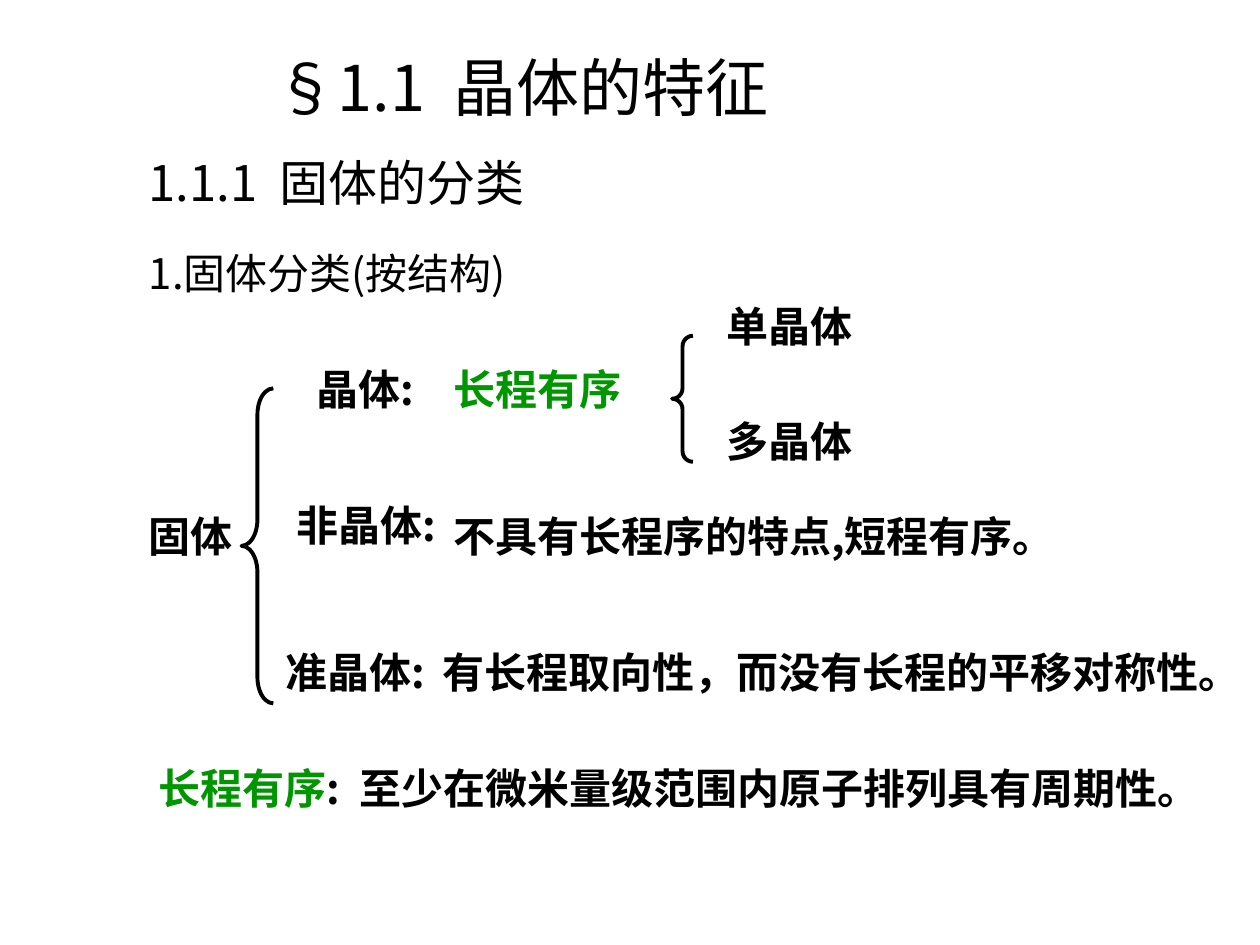
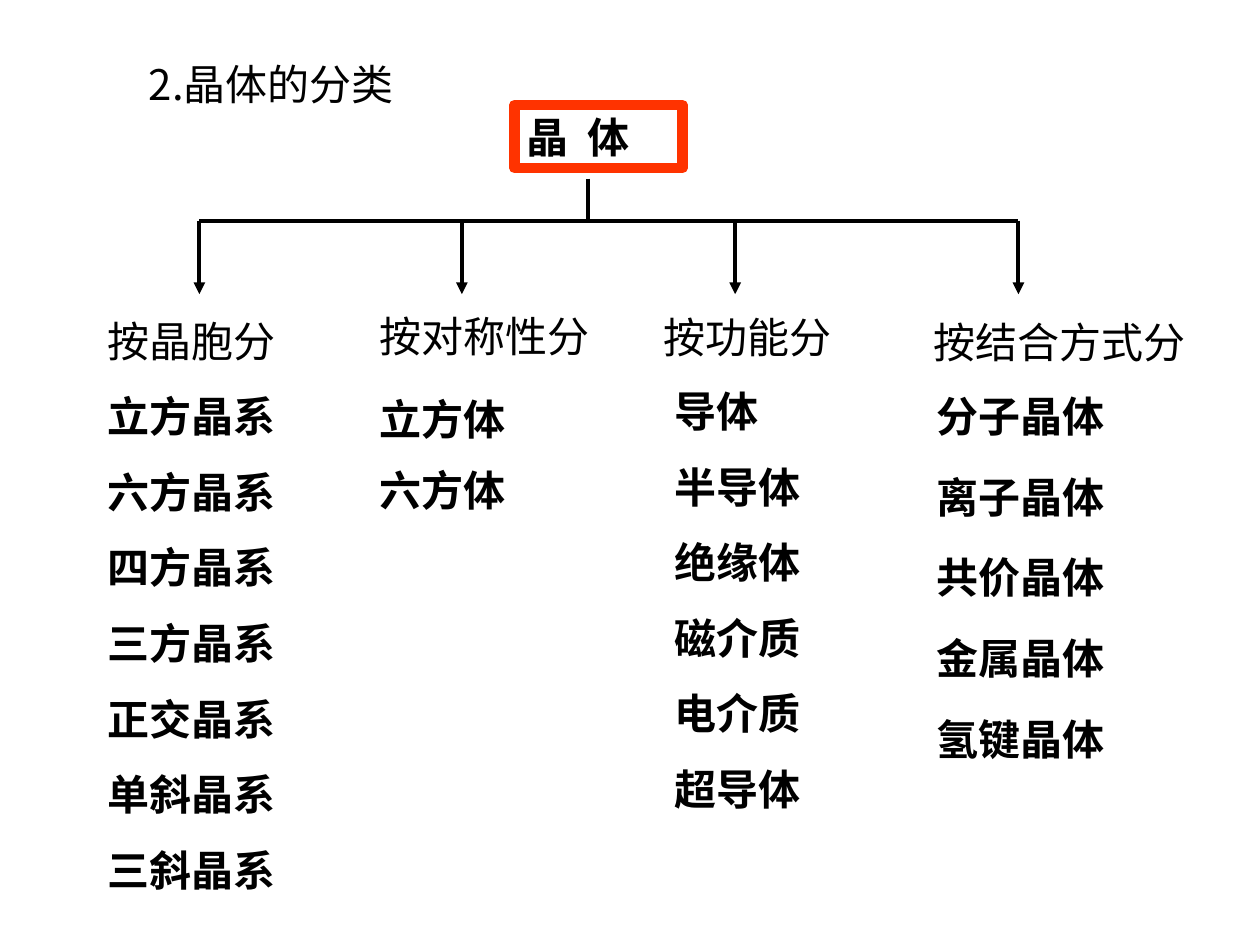
"""Build two slides on how solids and crystals are classified."""
from lxml import etree
from pptx import Presentation
from pptx import util as u
from pptx.dml.color import RGBColor
from pptx.enum import shapes, text
from pptx.oxml import ns

COLORS = {"ink": "000000", "green": "009600", "red": "FF3300"}
FONT = "Noto Sans CJK SC"


class Deck:
    """Holds the shared style and the slide being drawn."""

    def __init__(self):
        self.prs = Presentation()
        self.prs.slide_width, self.prs.slide_height = u.Cm(25.4), u.Cm(19.05)
        self.slide = None

    def new_slide(self):
        """Start a blank slide."""
        self.slide = self.prs.slides.add_slide(self.prs.slide_layouts[6])

    def style_run(self, run, size, color, bold):
        """Give a run the deck's font for Latin and Chinese characters."""
        run.font.name, run.font.size, run.font.bold = FONT, u.Pt(size), bold
        run.font.color.rgb = RGBColor.from_string(COLORS[color])
        latin = run.font._element.find(ns.qn("a:latin"))
        east_asian = etree.Element(ns.qn("a:ea"), typeface=FONT)
        latin.addnext(east_asian)

    def fill_text(self, shape, lines, size=24, color="ink", plain=0, spacing=None):
        """Fill a shape with lines, the first `plain` of them not bold."""
        frame = shape.text_frame
        frame.text = "\n".join(lines)
        frame.word_wrap = True
        frame.auto_size = text.MSO_AUTO_SIZE.SHAPE_TO_FIT_TEXT
        frame.vertical_anchor = text.MSO_ANCHOR.TOP
        for index, paragraph in enumerate(frame.paragraphs):
            paragraph.alignment = text.PP_ALIGN.LEFT
            paragraph.line_spacing = spacing
            for run in paragraph.runs:
                self.style_run(run, size, color, index >= plain)

    def label(self, lines, left, top, width, height=1.27, **style):
        """Add a text box."""
        box = self.slide.shapes.add_textbox(u.Cm(left), u.Cm(top), u.Cm(width), u.Cm(height))
        self.fill_text(box, lines, **style)
        return box

    def outline(self, kind, left, top, width, height, color, weight):
        """Add an unfilled preset shape."""
        shape = self.slide.shapes.add_shape(
            kind, u.Cm(left), u.Cm(top), u.Cm(width), u.Cm(height))
        shape.shadow.inherit = False
        shape.fill.background()
        shape.line.color.rgb = RGBColor.from_string(COLORS[color])
        shape.line.width = u.Pt(weight)
        return shape

    def brace(self, left, top, width, height):
        """Add a left brace whose curls take a twelfth of its height."""
        brace = self.outline(shapes.MSO_SHAPE.LEFT_BRACE, left, top, width, height, "ink", 2.25)
        brace.adjustments[0] = height / width / 12

    def line(self, x1, y1, x2, y2, arrow=False):
        """Add a straight line, with an arrowhead at its end if asked."""
        line = self.slide.shapes.add_connector(
            shapes.MSO_CONNECTOR.STRAIGHT, u.Cm(x1), u.Cm(y1), u.Cm(x2), u.Cm(y2))
        line.line.color.rgb = RGBColor.from_string(COLORS["ink"])
        line.line.width = u.Pt(2.25)
        if arrow:
            etree.SubElement(line.line._get_or_add_ln(), ns.qn("a:tailEnd"), type="triangle")
        etree.SubElement(line._element.spPr, ns.qn("a:effectLst"))


def solids_slide(deck):
    """Classify solids by structure."""
    deck.new_slide()
    deck.label(["§1.1  晶体的特征"], 5.29, 0.85, 13.76, 1.78, size=36, plain=1)
    deck.label(["1.1.1  固体的分类"], 2.75, 2.96, 12.28, 1.45, size=28, plain=1)
    deck.label(["1.固体分类(按结构)"], 2.75, 4.87, 12.07, plain=1)

    for words, left, top, width in (
        ("固体", 2.75, 10.16, 3.18),
        ("晶体:", 6.14, 7.2, 4.02),
        ("非晶体:", 5.72, 9.95, 5.29),
        ("准晶体:", 5.5, 12.91, 5.29),
        ("不具有长程序的特点,短程有序。", 8.89, 10.16, 13.55),
        ("有长程取向性，而没有长程的平移对称性。", 8.68, 12.91, 16.72),
        ("单晶体", 14.39, 5.93, 3.81),
        ("多晶体", 14.39, 8.26, 4.02),
        ("至少在微米量级范围内原子排列具有周期性。", 6.99, 15.24, 18.41),
    ):
        deck.label([words], left, top, width)
    deck.label(["长程有序"], 8.89, 7.2, 7.62, color="green")
    term = deck.label(["长程有序"], 2.95, 15.24, 4.6, color="green")
    colon = term.text_frame.paragraphs[0].add_run()
    colon.text = ":"
    deck.style_run(colon, 24, "ink", True)

    deck.brace(4.87, 7.83, 0.64, 6.35)
    deck.brace(13.55, 6.77, 0.42, 2.54)


def crystals_slide(deck):
    """Classify crystals as a tree with four branches."""
    deck.new_slide()
    deck.label(["2.晶体的分类"], 2.75, 1.06, 8.26, plain=1)
    root = deck.outline(shapes.MSO_SHAPE.RECTANGLE, 10.37, 2.12, 3.39, 1.27, "red", 6)
    deck.fill_text(root, ["晶  体"])

    branches = (4.02, 9.31, 14.82, 20.53)
    bar, tip = 4.45, 5.93
    deck.line(11.85, 3.6, 11.85, bar)
    deck.line(branches[0], bar, branches[-1], bar)
    for x in branches:
        deck.line(x, bar, x, tip, arrow=True)

    for words, left, top, width, height, plain, spacing in (
        ("按晶胞分 立方晶系 六方晶系 四方晶系 三方晶系 正交晶系 单斜晶系 三斜晶系",
         1.91, 5.72, 4.65, 12.45, 1, 1.5),
        ("按对称性分", 7.41, 5.72, 5.29, 1.68, 1, 1.4),
        ("立方体 六方体", 7.41, 7.41, 3.6, 3.1, 0, 1.4),
        ("按功能分", 13.12, 5.65, 4.45, 1.78, 1, 1.5),
        ("导体 半导体 绝缘体 磁介质 电介质 超导体", 13.34, 7.14, 3.6, 9.4, 0, 1.5),
        ("按结合方式分", 18.57, 5.65, 5.97, 1.88, 1, 1.6),
        ("分子晶体 离子晶体 共价晶体 金属晶体 氢键晶体", 18.63, 7.14, 4.32, 8.38, 0, 1.6),
    ):
        deck.label(words.split(), left, top, width, height, plain=plain, spacing=spacing)


def main():
    """Build and save the deck."""
    deck = Deck()
    solids_slide(deck)
    crystals_slide(deck)
    deck.prs.save("out.pptx")


if __name__ == "__main__":
    main()
